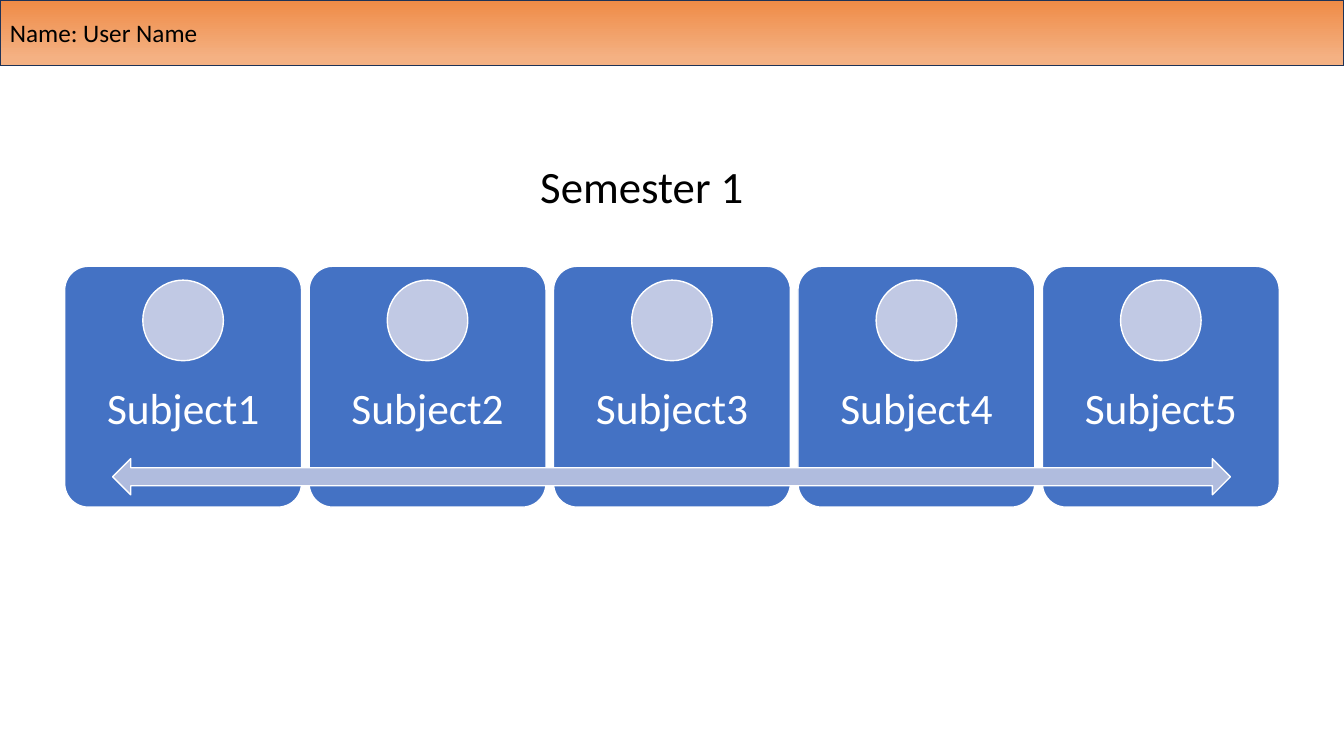
from pptx import Presentation
from pptx.dml.color import RGBColor
from pptx.enum.shapes import MSO_SHAPE as SHAPE
from pptx.enum.text import MSO_ANCHOR as ANCHOR, MSO_AUTO_SIZE as AUTO, PP_ALIGN as ALIGN
from pptx.util import Cm, Pt

COLORS = {
    "banner_top": "EF8B46",
    "banner_bottom": "F4B183",
    "banner_line": "1E3256",
    "card": "4472C4",
    "circle": "C1C9E4",
    "arrow": "B0BCDE",
    "white": "FFFFFF",
    "black": "000000",
}
SUBJECTS = [f"Subject{n}" for n in range(1, 6)]
CARD_LEFT, CARD_TOP, CARD_W, CARD_H = 1.63, 6.71, 5.97, 6.07
CARD_PITCH = 6.16
CIRCLE = 2.03


def rgb(name):
    """Return the named palette colour."""
    return RGBColor.from_string(COLORS[name])


def box(left, top, width, height):
    """Convert a position and size in centimetres to lengths."""
    return Cm(left), Cm(top), Cm(width), Cm(height)


def write(sp, text, size=18, color="black", align=ALIGN.LEFT, anchor=ANCHOR.TOP,
          wrap=True, inset=None, spacing=1.0):
    """Put one formatted paragraph into a shape."""
    tf = sp.text_frame
    tf.auto_size = AUTO.NONE
    tf.word_wrap = wrap
    tf.vertical_anchor = anchor
    if inset is not None:
        tf.margin_left = tf.margin_right = tf.margin_top = tf.margin_bottom = Cm(inset)
    p = tf.paragraphs[0]
    p.alignment = align
    p.line_spacing = spacing
    p.space_before = Pt(0)
    r = p.add_run()
    r.text = text
    r.font.size = Pt(size)
    r.font.name = "Calibri"
    r.font.color.rgb = rgb(color)


def add_shape(s, kind, place, fill, line="white"):
    """Add a flat filled preset shape with a thin outline."""
    sp = s.shapes.add_shape(kind, *box(*place))
    sp.shadow.inherit = False
    sp.fill.solid()
    sp.fill.fore_color.rgb = rgb(fill)
    sp.line.color.rgb = rgb(line)
    sp.line.width = Pt(1)
    return sp


def add_banner(s):
    """Add the gradient banner with the user's name."""
    sp = add_shape(s, SHAPE.RECTANGLE, (0, 0, 33.87, 1.65), "banner_top", "banner_line")
    sp.fill.gradient()
    sp.fill.gradient_angle = 270
    stops = zip(sp.fill.gradient_stops, ("banner_top", "banner_bottom"), (0, 0.89))
    for stop, color, position in stops:
        stop.color.rgb = rgb(color)
        stop.position = position
    label = s.shapes.add_textbox(*box(0, 0.3, 5.28, 1.02))
    write(label, "Name: User Name", wrap=False)


def add_card(s, left, subject):
    """Add a subject card with its circle and caption."""
    card = add_shape(s, SHAPE.ROUNDED_RECTANGLE, (left, CARD_TOP, CARD_W, CARD_H), "card")
    card.adjustments[0] = 0.1
    caption = s.shapes.add_textbox(*box(left, 9.12, CARD_W, 2.44))
    write(caption, subject, size=31, color="white", align=ALIGN.CENTER,
          anchor=ANCHOR.MIDDLE, inset=0.61, spacing=0.9)
    circle_left = left + (CARD_W - CIRCLE) / 2
    add_shape(s, SHAPE.OVAL, (circle_left, 7.06, CIRCLE, CIRCLE), "circle")


def add_title(s, text):
    """Place and format the title placeholder."""
    title = s.shapes.title
    title.left, title.top, title.width, title.height = box(13.36, 3.86, 11.13, 1.63)
    write(title, text, size=32)


def main():
    """Build the semester slide."""
    prs = Presentation()
    prs.slide_width, prs.slide_height = Cm(33.87), Cm(19.05)
    s = prs.slides.add_slide(prs.slide_layouts[5])
    add_banner(s)
    for i, subject in enumerate(SUBJECTS):
        add_card(s, CARD_LEFT + i * CARD_PITCH, subject)
    add_shape(s, SHAPE.LEFT_RIGHT_ARROW, (2.84, 11.56, 28.17, 0.91), "arrow")
    add_title(s, "Semester 1")
    prs.save("out.pptx")


if __name__ == "__main__":
    main()
